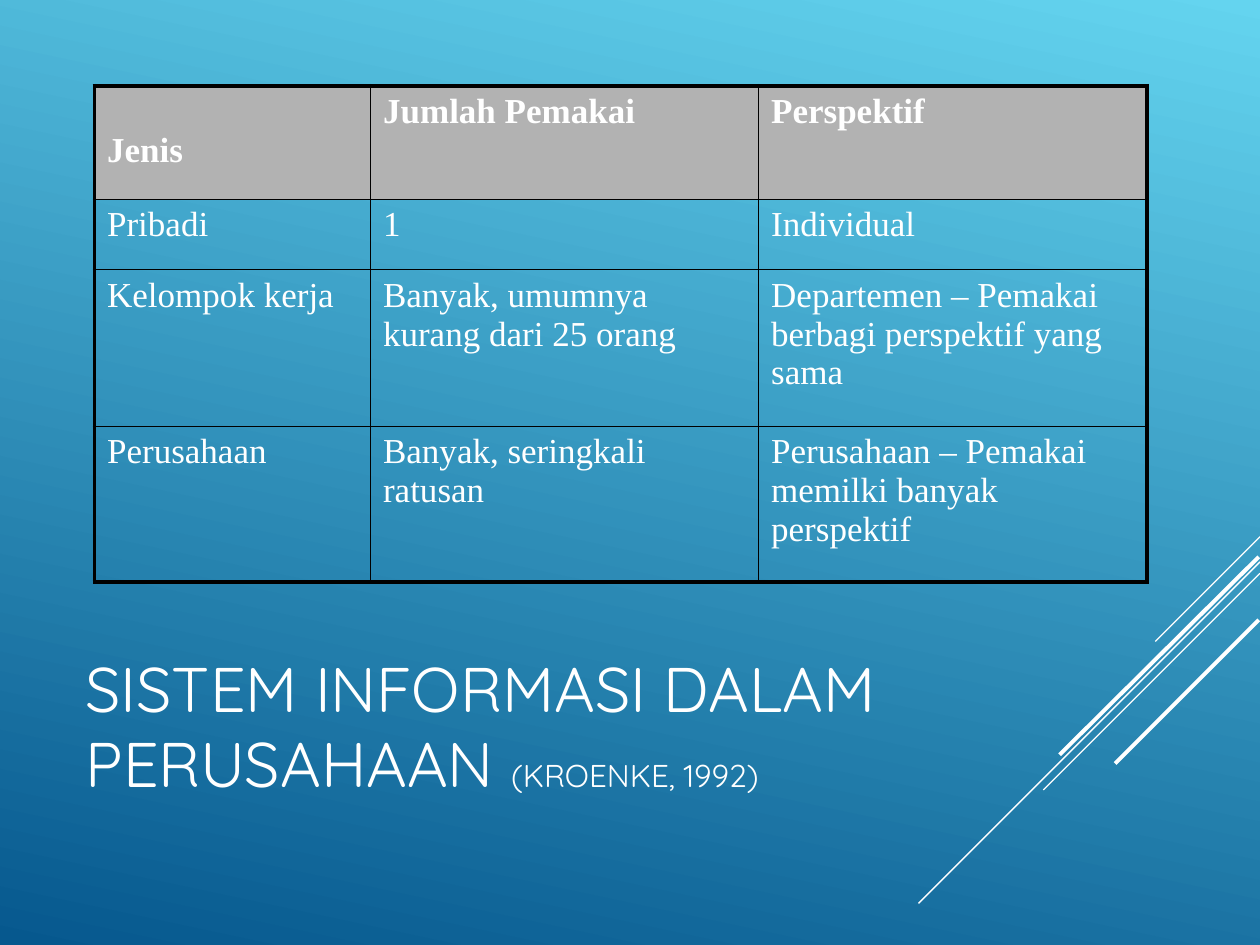
import pptx
import pptx.util
import pptx.dml.color
import pptx.enum.shapes
import pptx.enum.text
import pptx.oxml
from pptx.oxml.ns import qn
from lxml import etree

Pt = pptx.util.Pt
WHITE, BLACK, GREY = "FFFFFF", "000000", "B2B2B2"
THICK, THIN = 2.5, 0.45

COLUMN_WIDTHS = [157.7, 221.8, 221.8]
ROW_HEIGHTS = [64.8, 40.3, 89.3, 89.3]
SYSTEM_TYPES = [
    ["Jenis", "Jumlah Pemakai", "Perspektif"],
    ["Pribadi", "1", "Individual"],
    ["Kelompok kerja", "Banyak, umumnya kurang dari 25 orang",
     "Departemen – Pemakai berbagi perspektif yang sama"],
    ["Perusahaan", "Banyak, seringkali ratusan",
     "Perusahaan – Pemakai memilki banyak perspektif"],
]

# Start x, start y, end x, end y, width
CORNER_LINES = [
    (720, 306.7, 660.2, 366.5, 0.75),
    (720, 321.1, 524.9, 516.2, 0.75),
    (720, 327.6, 596.2, 451.4, 0.75),
    (719.3, 318.2, 605.5, 431.3, 2.25),
    (719.3, 354.2, 637.2, 436.3, 2.25),
]


def color(hex_value):
    return pptx.dml.color.RGBColor.from_string(hex_value)


def set_background(slide, top, bottom, angle):
    fill = slide.background.fill
    fill.gradient()
    fill.gradient_angle = angle
    for stop, hex_value in zip(fill.gradient_stops, (top, bottom)):
        stop.color.rgb = color(hex_value)


def add_line(slide, x1, y1, x2, y2, width):
    line = slide.shapes.add_connector(
        pptx.enum.shapes.MSO_CONNECTOR.STRAIGHT, Pt(x1), Pt(y1), Pt(x2), Pt(y2))
    line.line.color.rgb = color(WHITE)
    line.line.width = Pt(width)
    etree.SubElement(line._element.spPr, qn("a:effectLst"))


def add_title(slide, left, top, width, height, parts):
    title = slide.shapes.add_textbox(Pt(left), Pt(top), Pt(width), Pt(height))
    frame = title.text_frame
    frame.word_wrap = True
    frame.vertical_anchor = pptx.enum.text.MSO_ANCHOR.MIDDLE
    paragraph = frame.paragraphs[0]
    paragraph.font.name = "Quicksand"
    paragraph.font.color.rgb = color(WHITE)
    for text, size in parts:
        run = paragraph.add_run()
        run.text = text
        run.font.size = Pt(size)


def set_borders(cell, widths):
    properties = cell._tc.get_or_add_tcPr()
    for side, width in zip("LRTB", widths):
        border = etree.SubElement(properties, qn(f"a:ln{side}"), w=str(Pt(width)))
        fill = etree.SubElement(border, qn("a:solidFill"))
        etree.SubElement(fill, qn("a:srgbClr"), val=BLACK)


def fill_cell(cell, text, is_header):
    cell.text = text
    font = cell.text_frame.paragraphs[0].font
    font.name = "Times New Roman"
    font.size = Pt(20)
    font.bold = is_header
    font.color.rgb = color(WHITE)
    if is_header:
        cell.fill.solid()
        cell.fill.fore_color.rgb = color(GREY)
    else:
        cell.fill.background()


def add_system_table(slide, left, top):
    last_row, last_column = len(ROW_HEIGHTS) - 1, len(COLUMN_WIDTHS) - 1
    table = slide.shapes.add_table(
        last_row + 1, last_column + 1, Pt(left), Pt(top),
        Pt(sum(COLUMN_WIDTHS)), Pt(sum(ROW_HEIGHTS))).table
    table.first_row = table.horz_banding = False
    for column, width in zip(table.columns, COLUMN_WIDTHS):
        column.width = Pt(width)
    for row, height in zip(table.rows, ROW_HEIGHTS):
        row.height = Pt(height)
    for r, texts in enumerate(SYSTEM_TYPES):
        for c, text in enumerate(texts):
            cell = table.cell(r, c)
            outer_sides = (c == 0, c == last_column, r == 0, r == last_row)
            set_borders(cell, [THICK if outer else THIN for outer in outer_sides])
            fill_cell(cell, text, is_header=r == 0)
    # The first heading sits one line lower than the others
    table.cell(0, 0).margin_top = Pt(26)


def main():
    presentation = pptx.Presentation()
    presentation.slide_width, presentation.slide_height = Pt(720), Pt(540)
    slide = presentation.slides.add_slide(presentation.slide_layouts[6])

    # Backdrop with diagonal lines in the corner
    set_background(slide, "64D4EF", "06588E", 258)
    for line in CORNER_LINES:
        add_line(slide, *line)

    # Title and table
    add_title(slide, 41.8, 354.2, 516.2, 120.2,
              [("SISTEM INFORMASI DALAM PERUSAHAAN ", 36), ("(KROENKE, 1992)", 18)])
    add_system_table(slide, 54, 49)

    presentation.save("out.pptx")


if __name__ == "__main__":
    main()
